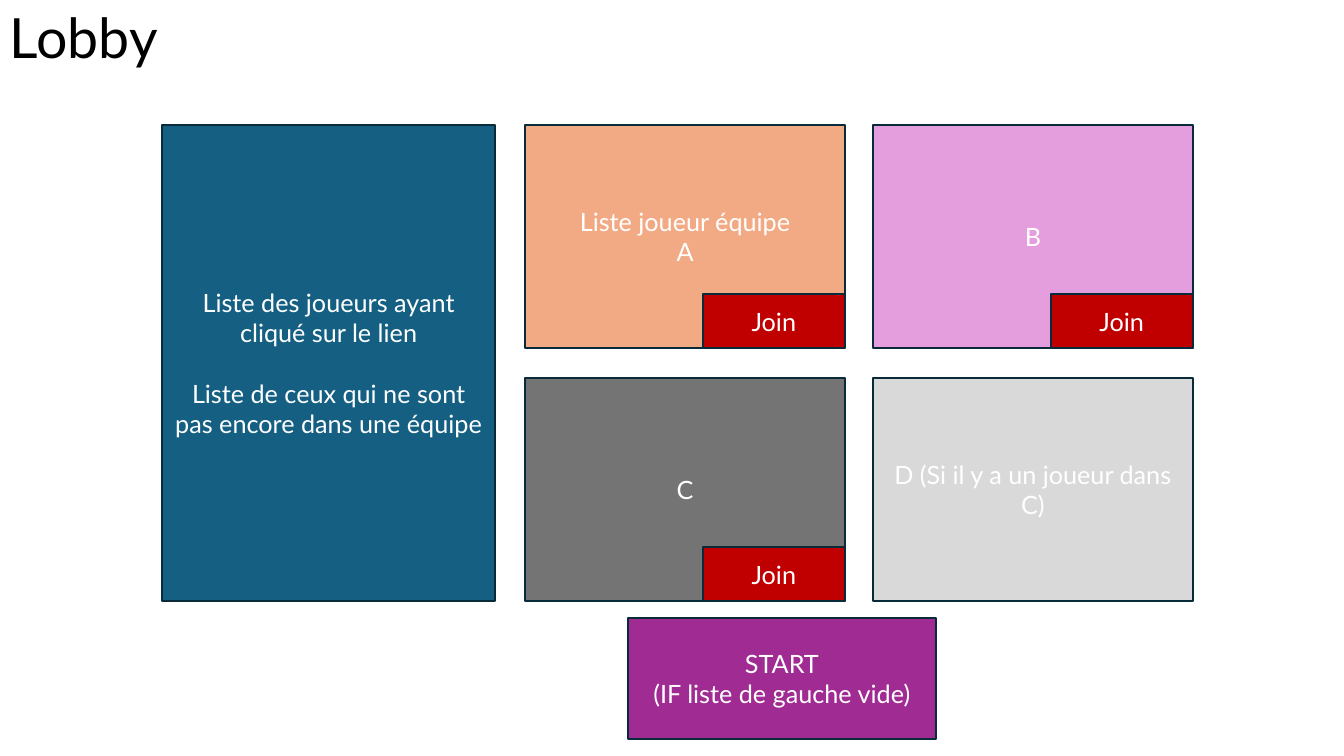
from pptx import Presentation
from pptx.dml.color import RGBColor
from pptx.enum.shapes import MSO_SHAPE
from pptx.enum.text import MSO_ANCHOR, PP_ALIGN
from pptx.util import Inches, Pt

RECT = MSO_SHAPE.RECTANGLE
MIDDLE = MSO_ANCHOR.MIDDLE
LEFT, CENTER = PP_ALIGN.LEFT, PP_ALIGN.CENTER

BLACK = RGBColor(0x00, 0x00, 0x00)
WHITE = RGBColor(0xFF, 0xFF, 0xFF)
NAVY = RGBColor(0x09, 0x2A, 0x39)
BLUE = RGBColor(0x15, 0x60, 0x82)
ORANGE = RGBColor(0xF2, 0xAA, 0x84)
PINK = RGBColor(0xE5, 0x9E, 0xDD)
GRAY = RGBColor(0x74, 0x74, 0x74)
SILVER = RGBColor(0xD9, 0xD9, 0xD9)
RED = RGBColor(0xC0, 0x00, 0x00)
PURPLE = RGBColor(0xA0, 0x2B, 0x93)

TITLE = "Lobby"
PLAYERS = ["Liste des joueurs ayant cliqué sur le lien",
           "Liste de ceux qui ne sont pas encore dans une équipe"]
# lines, fill, has a join button
TEAMS = [
    (["Liste joueur équipe", "A"], ORANGE, True),
    (["B"], PINK, True),
    (["C"], GRAY, True),
    (["D (Si il y a un joueur dans C)"], SILVER, False),
]
JOIN = ["Join"]
START = ["START", "(IF liste de gauche vide)"]

# Grid, in inches
WIDE, HIGH = 13.33, 7.5
COLS = 2
TOP = 1.24
TEAM_X, TEAM_W, TEAM_H = 5.21, 3.17, 2.21
STEP_X, STEP_Y = 3.45, 2.51
JOIN_W, JOIN_H = 1.41, 0.53
LIST_X, LIST_W = 1.61, 3.3
LIST_H = STEP_Y + TEAM_H
START_BOX = (6.23, 6.13, 3.05, 1.2)
TITLE_BOX = (0, 0.05, 5.52, 0.7)
LINE_GAP = 21.6

deck = Presentation()
deck.slide_width, deck.slide_height = Inches(WIDE), Inches(HIGH)
slide = deck.slides.add_slide(deck.slide_layouts[6])


def write(shape, lines, size, color, align, gap=0):
    """Fill a shape with paragraphs set apart by gap points."""
    frame = shape.text_frame
    frame.word_wrap = True
    frame.vertical_anchor = MIDDLE
    look = {"name": "Lato", "size": Pt(size)}
    for i, line in enumerate(lines):
        para = frame.paragraphs[0] if i == 0 else frame.add_paragraph()
        para.alignment = align
        if i and gap:
            para.space_before = Pt(gap)
        run = para.add_run()
        run.text = line
        for key, value in look.items():
            setattr(run.font, key, value)
        run.font.color.rgb = color
    return frame


def add_box(box, lines, fill, gap=0):
    shape = slide.shapes.add_shape(RECT, *map(Inches, box))
    shape.shadow.inherit = False
    shape.fill.solid()
    shape.fill.fore_color.rgb = fill
    shape.line.color.rgb = NAVY
    shape.line.width = Pt(1.5)
    write(shape, lines, 18, WHITE, CENTER, gap)


title = slide.shapes.add_textbox(*map(Inches, TITLE_BOX))
write(title, [TITLE], 39.6, BLACK, LEFT).paragraphs[0].line_spacing = 0.9

add_box((LIST_X, TOP, LIST_W, LIST_H), PLAYERS, BLUE, LINE_GAP)
for i, (lines, fill, joins) in enumerate(TEAMS):
    row, col = divmod(i, COLS)
    x, y = TEAM_X + col * STEP_X, TOP + row * STEP_Y
    add_box((x, y, TEAM_W, TEAM_H), lines, fill)
    if joins:
        corner = (x + TEAM_W - JOIN_W, y + TEAM_H - JOIN_H)
        add_box((*corner, JOIN_W, JOIN_H), JOIN, RED)
add_box(START_BOX, START, PURPLE)

deck.save("out.pptx")
